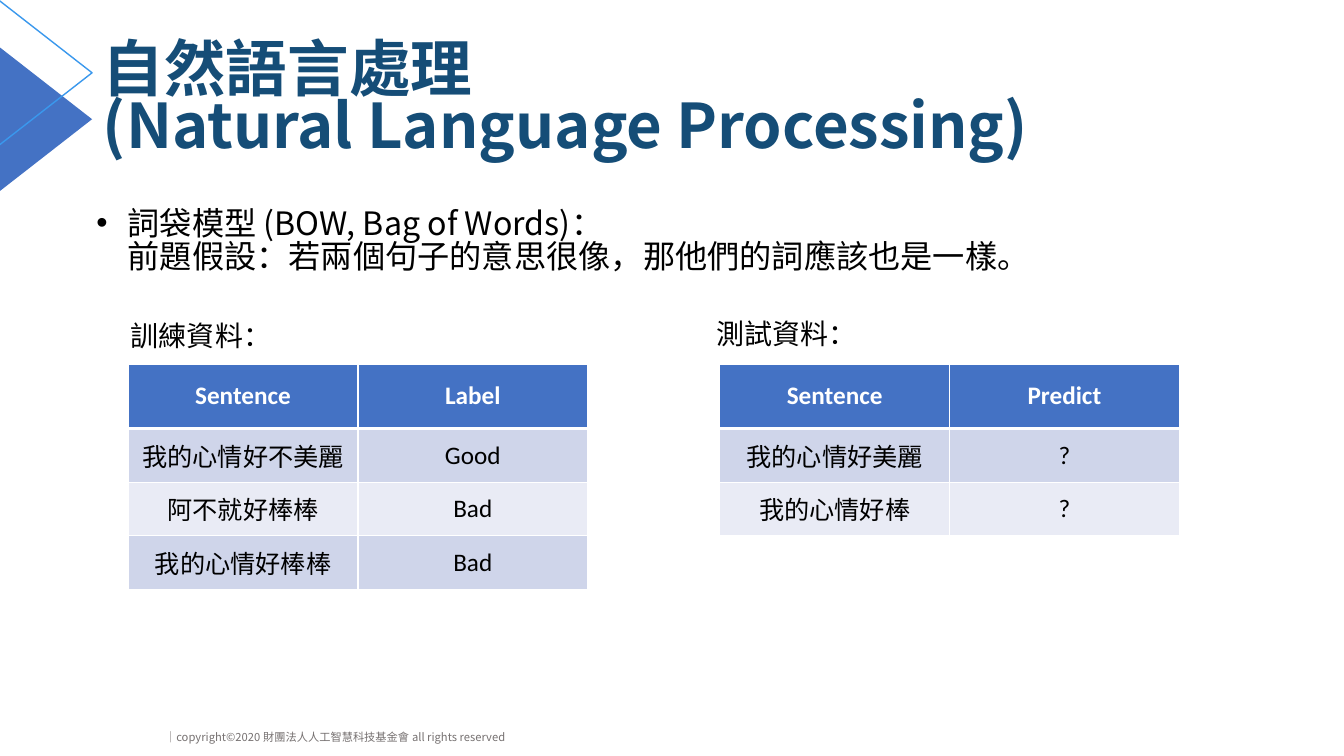
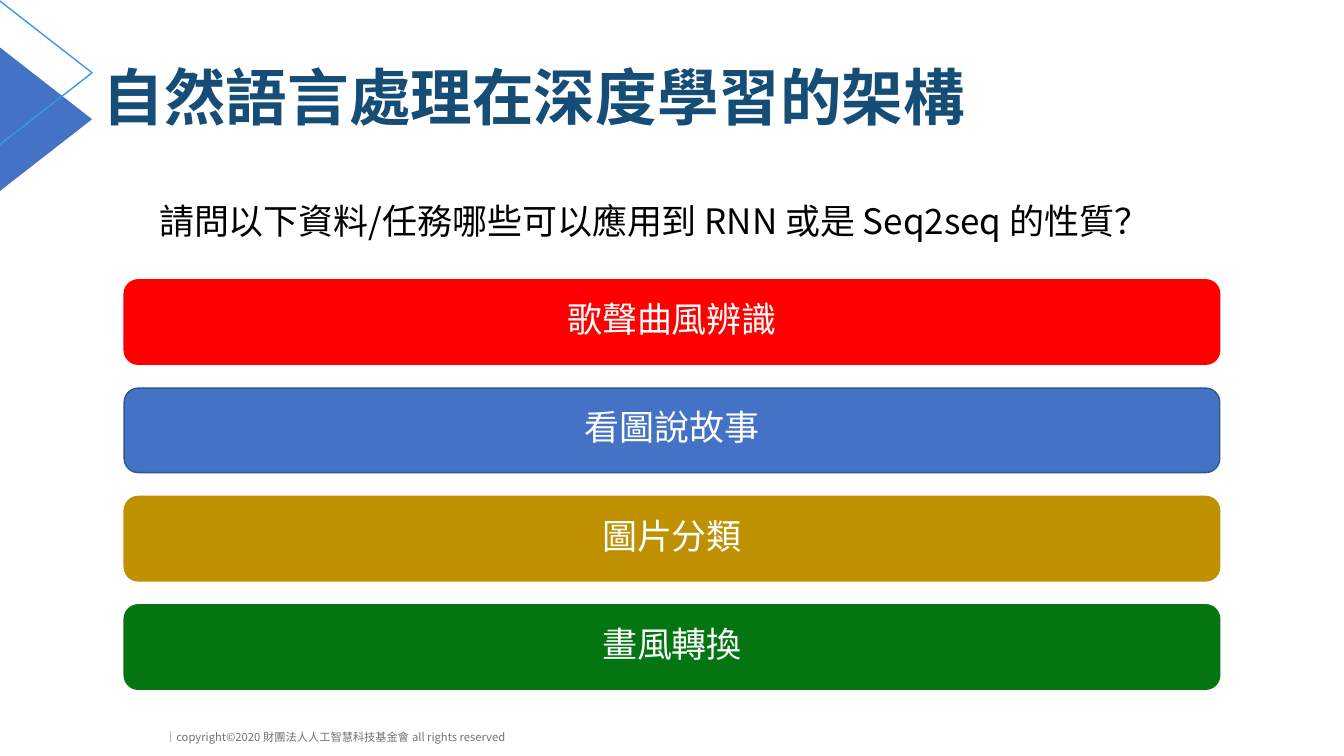
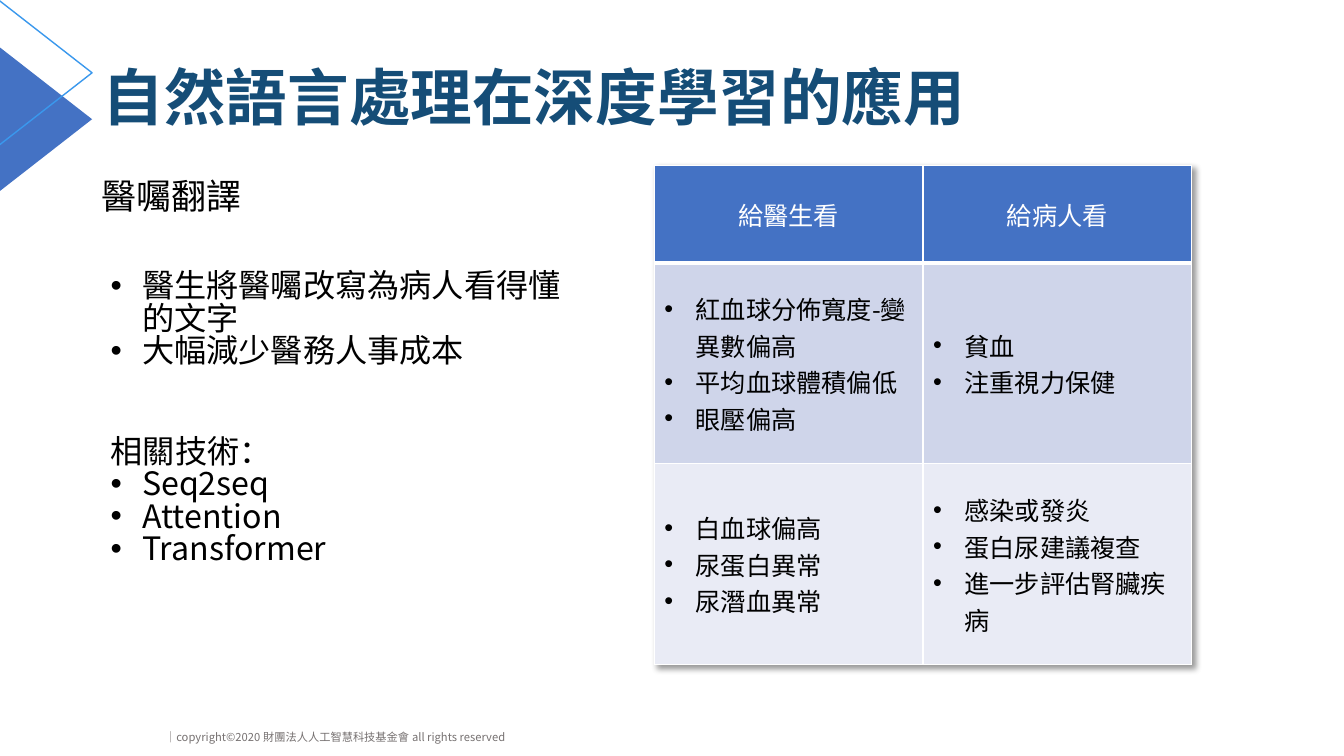
from lxml import etree
from pptx import Presentation
from pptx.dml.color import RGBColor
from pptx.enum import shapes, text
from pptx.oxml import ns
from pptx.util import Cm, Pt

FOOTER = "｜copyright©2020 財團法人人工智慧科技基金會 all rights reserved"
BULLET = "• "


def rgb(value):
    return RGBColor.from_string(value)


def add_xml(parent, tag, **attributes):
    return etree.SubElement(parent, ns.qn(tag), attributes)


class Deck:
    """Holds the shared style and the slide being built."""

    BLUE, NAVY, SKY = "4472C4", "154D77", "3A98ED"
    WHITE, BLACK, GREY = "FFFFFF", "000000", "767171"
    BANDS = ("CFD5EA", "E9EBF5")
    CJK, LATIN, FOOTER_FONT = "Noto Sans CJK SC", "Calibri", "Noto Sans CJK TC"
    INDENT = Cm(0.79)

    def __init__(self):
        self.presentation = Presentation()
        self.presentation.slide_width = Cm(33.87)
        self.presentation.slide_height = Cm(19.05)
        self.slide = None

    # Slide frame: footer, corner triangles and title
    def new_slide(self, title):
        layout = self.presentation.slide_layouts[6]
        self.slide = self.presentation.slides.add_slide(layout)
        self.text_box(3.91, 18.29, 9.73, 0.61, [FOOTER], 8,
                      color=self.GREY, font=self.FOOTER_FONT)
        triangle = shapes.MSO_SHAPE.ISOSCELES_TRIANGLE
        for top, fill, line in ((1.75, self.BLUE, None), (0.58, None, self.SKY)):
            shape = self.shape(triangle, -0.89, top, 3.91, 2.51, fill, line)
            shape.rotation = 90
        self.text_box(2.34, 0.76, 29.21, 3.68, [title], 44, color=self.NAVY,
                      bold=True, spacing=0.76, anchor=text.MSO_ANCHOR.MIDDLE)

    # Paragraphs; a leading bullet mark becomes a real bullet
    def set_lines(self, frame, lines, size, color=BLACK, font=CJK, bold=False,
                  align=text.PP_ALIGN.LEFT, spacing=None):
        for index, line in enumerate(lines):
            paragraph = frame.paragraphs[0] if index == 0 else frame.add_paragraph()
            paragraph.text = line.removeprefix(BULLET)
            paragraph.alignment = align
            if spacing:
                paragraph.line_spacing = spacing
            if line.startswith(BULLET):
                properties = paragraph._p.get_or_add_pPr()
                properties.set("marL", str(self.INDENT))
                properties.set("indent", str(-self.INDENT))
                add_xml(properties, "a:buFont", typeface="Arial")
                add_xml(properties, "a:buChar", char=BULLET.strip())
            paragraph.font.size = Pt(size)
            paragraph.font.bold = bold
            paragraph.font.color.rgb = rgb(color)
            paragraph.font.name = font
            add_xml(paragraph.font._element, "a:ea", typeface=font)

    def text_box(self, left, top, width, height, lines, size,
                 anchor=text.MSO_ANCHOR.TOP, **style):
        box = self.slide.shapes.add_textbox(Cm(left), Cm(top), Cm(width), Cm(height))
        box.text_frame.word_wrap = True
        box.text_frame.vertical_anchor = anchor
        self.set_lines(box.text_frame, lines, size, **style)

    def body(self, left, top, width, height, lines, size=23):
        self.text_box(left, top, width, height, lines, size, spacing=0.84)

    def shape(self, kind, left, top, width, height, fill=None, line=None):
        shape = self.slide.shapes.add_shape(
            kind, Cm(left), Cm(top), Cm(width), Cm(height))
        shape.shadow.inherit = False
        for color, target in ((fill, shape.fill), (line, shape.line.fill)):
            if color:
                target.solid()
                target.fore_color.rgb = rgb(color)
            else:
                target.background()
        if line:
            shape.line.width = Pt(1)
        return shape

    def card(self, left, top, width, height, label, fill, line):
        shape = self.shape(shapes.MSO_SHAPE.ROUNDED_RECTANGLE,
                           left, top, width, height, fill, line)
        shape.text_frame.vertical_anchor = text.MSO_ANCHOR.MIDDLE
        self.set_lines(shape.text_frame, [label], 25, color=self.WHITE,
                       align=text.PP_ALIGN.CENTER, spacing=0.84)

    # Tables: blue header row, banded body, white rules
    def table(self, left, top, column_width, header_height, row_height, rows,
              bold_header=True, shadow=False):
        columns = len(rows[0])
        height = header_height + row_height * (len(rows) - 1)
        table = self.slide.shapes.add_table(
            len(rows), columns, Cm(left), Cm(top),
            Cm(column_width * columns), Cm(height)).table
        table.horz_banding = False
        for column in table.columns:
            column.width = Cm(column_width)
        for index, row in enumerate(rows):
            header = index == 0
            table.rows[index].height = Cm(header_height if header else row_height)
            fill = self.BLUE if header else self.BANDS[(index - 1) % 2]
            for column, content in enumerate(row):
                cell = table.cell(index, column)
                self.rule(cell, top=3 if index == 1 else 1, bottom=3 if header else 1)
                cell.fill.solid()
                cell.fill.fore_color.rgb = rgb(fill)
                cell.vertical_anchor = text.MSO_ANCHOR.MIDDLE
                bulleted = content.startswith(BULLET)
                self.set_lines(
                    cell.text_frame, content.split("\n"), 18,
                    color=self.WHITE if header else self.BLACK,
                    font=self.LATIN if content.isascii() else self.CJK,
                    bold=header and bold_header,
                    align=text.PP_ALIGN.LEFT if bulleted else text.PP_ALIGN.CENTER)
        if shadow:
            self.table_shadow(table)

    def rule(self, cell, top, bottom):
        properties = cell._tc.get_or_add_tcPr()
        for side, width in (("L", 1), ("R", 1), ("T", top), ("B", bottom)):
            line = add_xml(properties, f"a:ln{side}", w=str(Pt(width)))
            add_xml(add_xml(line, "a:solidFill"), "a:srgbClr", val=self.WHITE)

    def table_shadow(self, table):
        properties = table._tbl.tblPr
        effects = add_xml(properties, "a:effectLst")
        properties.insert(0, effects)
        outer = add_xml(effects, "a:outerShdw", blurRad=str(Pt(4)), dist=str(Pt(3)),
                        dir="2700000", algn="tl", rotWithShape="0")
        color = add_xml(outer, "a:srgbClr", val=self.BLACK)
        add_xml(color, "a:alpha", val="40000")


def bag_of_words(deck):
    deck.new_slide("自然語言處理\n(Natural Language Processing)")
    deck.body(2.18, 5.16, 24.41, 2.24, [
        "• 詞袋模型 (BOW, Bag of Words)：\n前題假設：若兩個句子的意思很像，那他們的詞應該也是一樣。"])
    training = [("Sentence", "Label"), ("我的心情好不美麗", "Good"),
                ("阿不就好棒棒", "Bad"), ("我的心情好棒棒", "Bad")]
    testing = [("Sentence", "Predict"), ("我的心情好美麗", "?"), ("我的心情好棒", "?")]
    for left, rows in ((3.23, training), (18.14, testing)):
        deck.table(left, 9.17, 5.79, 1.63, 1.35, rows)
    deck.body(3.05, 8.03, 4.09, 1.12, ["訓練資料："], 20)
    deck.body(17.81, 7.98, 4.09, 1.12, ["測試資料："], 20)


def architectures(deck):
    deck.new_slide("自然語言處理在深度學習的架構")
    deck.body(3.76, 5.08, 26.8, 1.32,
              ["請問以下資料/任務哪些可以應用到 RNN 或是 Seq2seq 的性質？"], 25)
    cards = (("歌聲曲風辨識", "FF0000", "FF0000"), ("看圖說故事", deck.BLUE, "325491"),
             ("圖片分類", "BF9000", "BF9000"), ("畫風轉換", "057512", "057512"))
    for index, (label, fill, line) in enumerate(cards):
        deck.card(3.13, 7.05 + 2.73 * index, 27.61, 2.13, label, fill, line)


def applications(deck):
    deck.new_slide("自然語言處理在深度學習的應用")
    deck.body(2.31, 4.45, 4.19, 1.32, ["醫囑翻譯"], 25)
    deck.table(16.49, 4.17, 6.77, 2.46, 5.06, [
        ("給醫生看", "給病人看"),
        ("• 紅血球分佈寬度-變異數偏高\n• 平均血球體積偏低\n• 眼壓偏高",
         "• 貧血\n• 注重視力保健"),
        ("• 白血球偏高\n• 尿蛋白異常\n• 尿潛血異常",
         "• 感染或發炎\n• 蛋白尿建議複查\n• 進一步評估腎臟疾病"),
    ], bold_header=False, shadow=True)
    deck.body(2.54, 6.73, 12.37, 3.2,
              ["• 醫生將醫囑改寫為病人看得懂的文字", "• 大幅減少醫務人事成本"])
    deck.body(2.54, 10.9, 7.9, 4.19,
              ["相關技術：", "• Seq2seq", "• Attention", "• Transformer"])


def main():
    deck = Deck()
    for build in (bag_of_words, architectures, applications):
        build(deck)
    deck.presentation.save("out.pptx")


if __name__ == "__main__":
    main()
